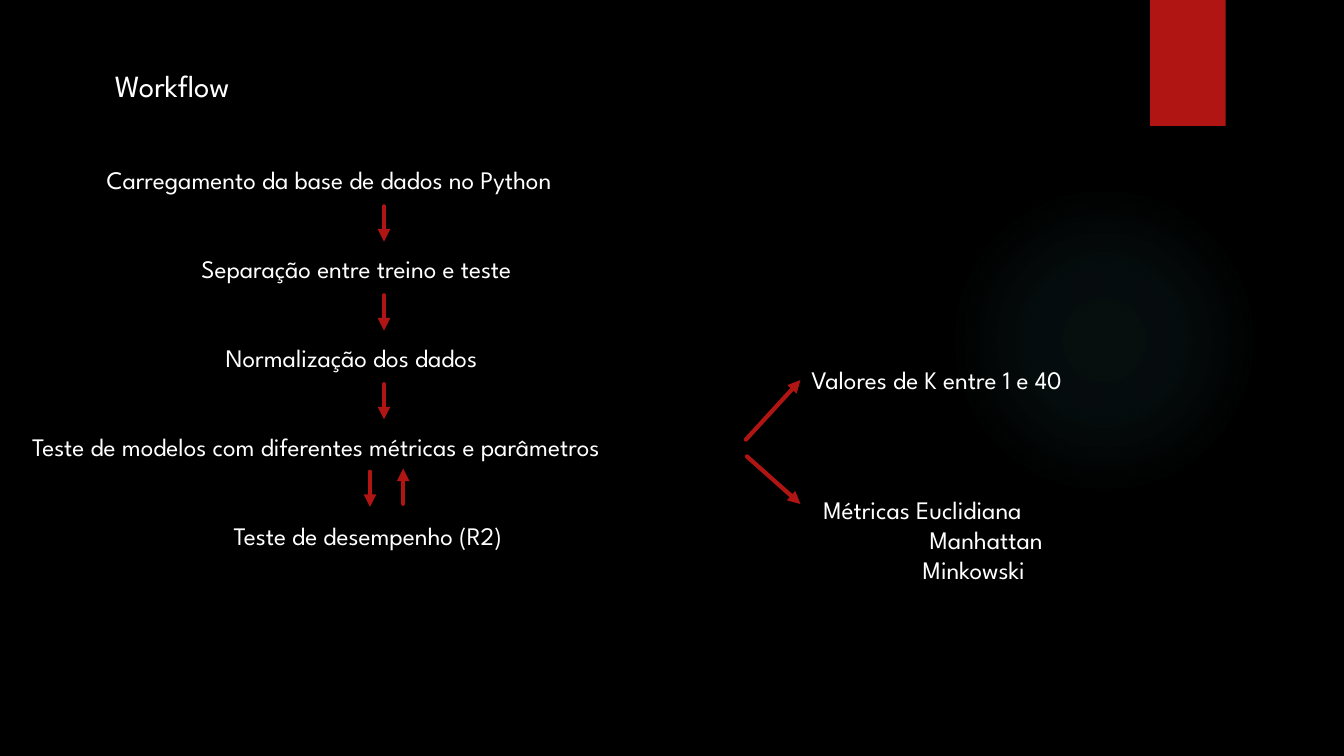
from lxml.etree import SubElement
from pptx import Presentation
from pptx.dml.color import RGBColor
from pptx.enum.shapes import MSO_CONNECTOR as Connector, MSO_SHAPE as Shape
from pptx.enum.text import MSO_ANCHOR as Anchor, MSO_AUTO_SIZE as AutoSize, PP_ALIGN as Align
from pptx.oxml import parse_xml
from pptx.oxml.ns import nsdecls, qn
from pptx.util import Pt

BLACK = RGBColor(0x00, 0x00, 0x00)
WHITE = RGBColor(0xFF, 0xFF, 0xFF)
RED = RGBColor(0xB0, 0x15, 0x13)
TEAL = RGBColor(0x50, 0xB9, 0xC1)

BODY_FONT = {"name": "League Spartan", "size": Pt(18), "bold": False}
TITLE_FONT = {**BODY_FONT, "size": Pt(22)}
FRAME_FORMAT = {"word_wrap": True, "auto_size": AutoSize.NONE, "vertical_anchor": Anchor.TOP}
GLOW_STOPS = ((0, 7), (36, 6), (69, 0))  # position and opacity, in percent

STEPS = (
    # text, left, width
    ("Carregamento da base de dados no Python", 69.1, 410.4),
    ("Separação entre treino e teste", 136.8, 285.8),
    ("Normalização dos dados", 154.1, 241.2),
    ("Teste de modelos com diferentes métricas e parâmetros", 15.8, 517),
    ("Teste de desempenho (R2)", 159.8, 257),
)
STEP_PITCH = 63.5
LINE_HEIGHT = 28.8
ARROW_LENGTH = 25.2


def apply_format(target, values):
    for name, value in values.items():
        setattr(target, name, value)


def write_lines(holder, lines, font_format=BODY_FONT):
    """Fill a shape with (text, indent) paragraphs."""
    frame = holder.text_frame
    apply_format(frame, FRAME_FORMAT)
    for number, (text, indent) in enumerate(lines):
        paragraph = frame.add_paragraph() if number else frame.paragraphs[0]
        paragraph.text = text
        paragraph.alignment = Align.LEFT
        properties = paragraph._p.get_or_add_pPr()
        properties.set("marL", str(Pt(indent)))
        properties.set("indent", "0")
        apply_format(paragraph.font, font_format)
        paragraph.font.color.rgb = WHITE


def add_label(slide, left, top, width, *lines):
    height = LINE_HEIGHT + 21.9 * (len(lines) - 1)
    label = slide.shapes.add_textbox(Pt(left), Pt(top), Pt(width), Pt(height))
    write_lines(label, lines)


def add_arrow(slide, start_x, start_y, end_x, end_y):
    arrow = slide.shapes.add_connector(
        Connector.STRAIGHT, Pt(start_x), Pt(start_y), Pt(end_x), Pt(end_y))
    arrow.line.color.rgb = RED
    arrow.line.width = Pt(3)
    outline = arrow.line._get_or_add_ln()
    outline.set("cap", "rnd")
    SubElement(outline, qn("a:tailEnd"), type="triangle")
    SubElement(arrow._element.spPr, qn("a:effectLst"))


def add_backdrop(slide):
    slide.background.fill.solid()
    slide.background.fill.fore_color.rgb = BLACK

    glow = slide.shapes.add_shape(Shape.OVAL, Pt(677.5), Pt(131.8), Pt(221.8), Pt(221.8))
    stops = "".join(
        f'<a:gs pos="{position * 1000}"><a:srgbClr val="{TEAL}">'
        f'<a:alpha val="{opacity * 1000}"/></a:srgbClr></a:gs>'
        for position, opacity in GLOW_STOPS)
    gradient = parse_xml(
        f'<a:gradFill {nsdecls("a")}><a:gsLst>{stops}</a:gsLst><a:path path="circle">'
        '<a:fillToRect l="50000" t="50000" r="50000" b="50000"/></a:path></a:gradFill>')
    glow._element.spPr.find(qn("a:prstGeom")).addnext(gradient)

    ribbon = slide.shapes.add_shape(Shape.RECTANGLE, Pt(821.5), Pt(0), Pt(54), Pt(90))
    ribbon.fill.solid()
    ribbon.fill.fore_color.rgb = RED
    for shape in (glow, ribbon):
        shape.line.fill.background()
        shape.shadow.inherit = False


def add_title(slide, left, top, width, height):
    title = slide.shapes.title
    apply_format(title, {"left": Pt(left), "top": Pt(top),
                         "width": Pt(width), "height": Pt(height)})
    write_lines(title, [("Workflow", 0)], TITLE_FONT)


def add_steps(slide, top, axis):
    """Stack the steps from top, with arrows around the vertical axis."""
    for number, (text, left, width) in enumerate(STEPS):
        step_top = top + number * STEP_PITCH
        add_label(slide, left, step_top, width, (text, 0))
        if number < len(STEPS) - 2:
            arrow_top = step_top + 33.5
            add_arrow(slide, axis, arrow_top, axis, arrow_top + ARROW_LENGTH)

    loop_top = top + (len(STEPS) - 2) * STEP_PITCH + 32.5
    add_arrow(slide, axis - 10, loop_top, axis - 10, loop_top + ARROW_LENGTH)
    add_arrow(slide, axis + 13.7, loop_top + 23, axis + 13.7, loop_top + 23 - ARROW_LENGTH)


def add_parameters(slide, left, top):
    """Branch from the model test to the values of K and the metrics."""
    tip = left + 39
    add_arrow(slide, left, top + 57, tip, top + 14.5)
    add_label(slide, tip + 0.7, top, 233.3, ("Valores de K entre 1 e 40", 0))
    add_arrow(slide, left + 0.7, top + 69, tip, top + 103)
    add_label(slide, tip + 9.2, top + 92.3, 195.8,
              ("Métricas Euclidiana", 0), ("Manhattan", 76), ("Minkowski", 71))


def main():
    presentation = Presentation()
    apply_format(presentation, {"slide_width": Pt(960), "slide_height": Pt(540)})
    slide = presentation.slides.add_slide(presentation.slide_layouts.get_by_name("Title Only"))
    add_backdrop(slide)
    add_title(slide, 74.9, 43.9, 112.3, 33.8)
    add_steps(slide, 113.9, 274.3)
    add_parameters(slide, 532.8, 257)
    presentation.save("out.pptx")


if __name__ == "__main__":
    main()
